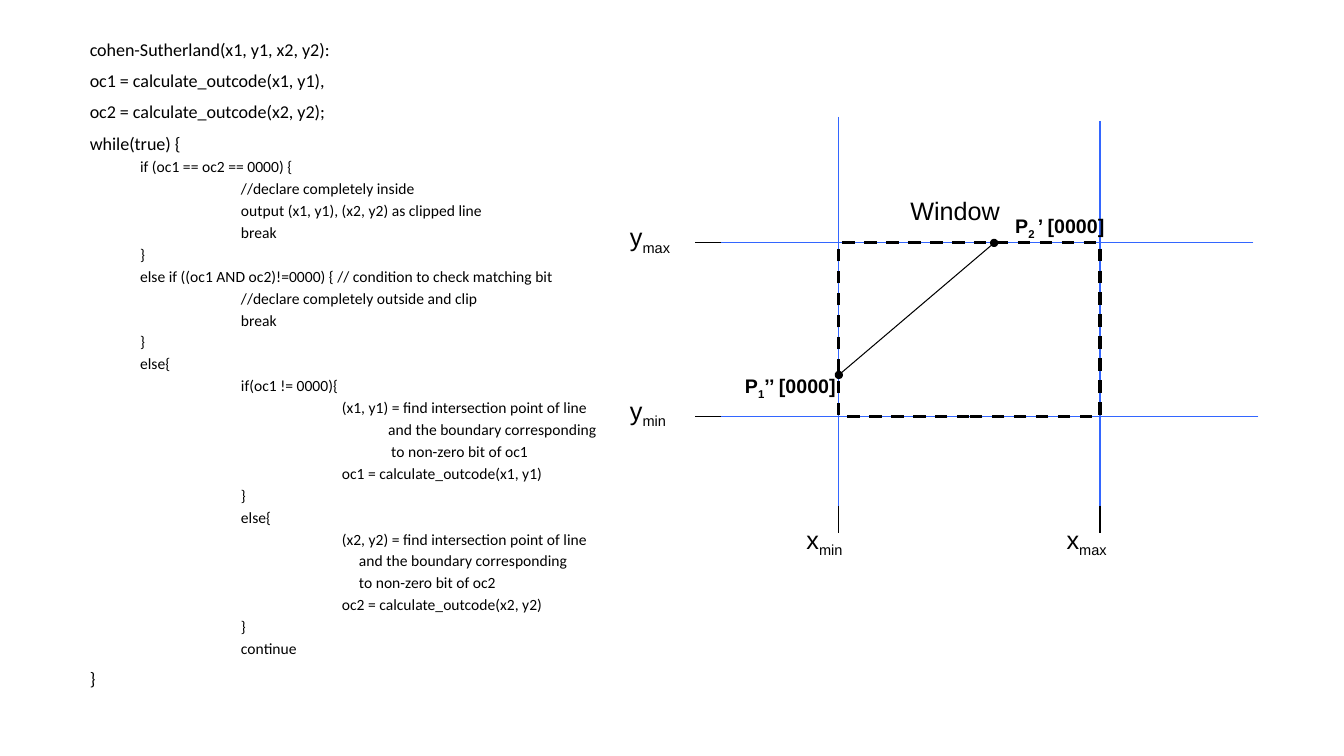
from dataclasses import dataclass

from lxml import etree
from pptx import Presentation
from pptx.dml.color import RGBColor
from pptx.enum.dml import MSO_LINE
from pptx.enum.shapes import MSO_CONNECTOR, MSO_SHAPE
from pptx.enum.text import MSO_ANCHOR, MSO_AUTO_SIZE
from pptx.oxml.ns import qn
from pptx.util import Inches, Pt

STRAIGHT = MSO_CONNECTOR.STRAIGHT
RECTANGLE = MSO_SHAPE.RECTANGLE
DASH = MSO_LINE.DASH
TOP = MSO_ANCHOR.TOP
FIXED_SIZE = MSO_AUTO_SIZE.NONE
FIT_SHAPE = MSO_AUTO_SIZE.SHAPE_TO_FIT_TEXT

COLUMNS, ROWS = 133.3, 75
CELL = Inches(0.1)


@dataclass(frozen=True)
class Theme:
    ink: RGBColor = RGBColor(0, 0, 0)
    guide: RGBColor = RGBColor(0x33, 0x66, 0xFF)
    code_font: str = "Calibri"
    label_font: str = "Arial"
    outer_code: float = 12.9
    inner_code: float = 11.1
    axis_label: int = 18
    point_label: int = 14
    thin: float = 0.75
    thick: float = 2.25


THEME = Theme()

X_MIN, X_MAX = 83.2, 109.1
Y_MAX, Y_MIN = 24.1, 41.3
TICK_LEFT, TICK_RIGHT = 68.9, 71.5
TICK_TOP, TICK_BOTTOM = 50.2, 52.9

CODE = [
    (0, "cohen-Sutherland(x1, y1, x2, y2):"),
    (0, "oc1 = calculate_outcode(x1, y1),"),
    (0, "oc2 = calculate_outcode(x2, y2);"),
    (0, "while(true) {"),
    (5, "if (oc1 == oc2 == 0000) {"),
    (15, "//declare completely inside"),
    (15, "output (x1, y1), (x2, y2) as clipped line"),
    (15, "break"),
    (5, "}"),
    (5, "else if ((oc1 AND oc2)!=0000) { // condition to check matching bit"),
    (15, "//declare completely outside and clip"),
    (15, "break"),
    (5, "}"),
    (5, "else{"),
    (15, "if(oc1 != 0000){"),
    (25, "(x1, y1) = find intersection point of line"),
    (29.6, "and the boundary corresponding"),
    (29.9, "to non-zero bit of oc1"),
    (25, "oc1 = calculate_outcode(x1, y1)"),
    (15, "}"),
    (15, "else{"),
    (25, "(x2, y2) = find intersection point of line"),
    (26.7, "and the boundary corresponding"),
    (26.7, "to non-zero bit of oc2"),
    (25, "oc2 = calculate_outcode(x2, y2)"),
    (15, "}"),
    (15, "continue"),
    (0, "}"),
]


def cells(count):
    return round(count * CELL)


def style_font(font, name, size, bold=False):
    font.name = name
    font.size = Pt(size)
    font.bold = bold
    font.color.rgb = THEME.ink


def add_code(slide):
    slide.shapes.title.element.getparent().remove(slide.shapes.title.element)
    body = slide.placeholders[1]
    body.left, body.top = cells(7.9), cells(3.7)
    body.width, body.height = cells(55.4), cells(64.9)
    frame = body.text_frame
    frame.auto_size = FIXED_SIZE
    frame.vertical_anchor = TOP
    frame.word_wrap = True
    frame.text = "\n".join(text for _, text in CODE)
    for index, (paragraph, (indent, _)) in enumerate(zip(frame.paragraphs, CODE)):
        inner = indent > 0
        paragraph.level = int(inner)
        paragraph.line_spacing = 0.8
        paragraph.space_before = Pt(0 if index == 0 else 5 if inner else 10)
        properties = paragraph._p.get_or_add_pPr()
        properties.set("marL", str(cells(indent)))
        properties.set("indent", "0")
        etree.SubElement(properties, qn("a:buNone"))
        size = THEME.inner_code if inner else THEME.outer_code
        style_font(paragraph.font, THEME.code_font, size)


def add_line(slide, start, end, color, dots=False):
    points = [cells(value) for value in (*start, *end)]
    connector = slide.shapes.add_connector(STRAIGHT, *points)
    connector.line.color.rgb = color
    connector.line.width = Pt(THEME.thin)
    etree.SubElement(connector._element.spPr, qn("a:effectLst"))
    if dots:
        outline = connector.line._get_or_add_ln()
        for tag in ("a:headEnd", "a:tailEnd"):
            etree.SubElement(outline, qn(tag), type="oval")


def add_window(slide):
    window = slide.shapes.add_shape(
        RECTANGLE, cells(X_MIN), cells(Y_MAX), cells(X_MAX - X_MIN), cells(Y_MIN - Y_MAX)
    )
    window.shadow.inherit = False
    window.fill.background()
    window.line.color.rgb = THEME.ink
    window.line.width = Pt(THEME.thick)
    window.line.dash_style = DASH


def add_label(slide, box, size, base, subscript="", rest="", bold=False):
    label = slide.shapes.add_textbox(*(cells(value) for value in box))
    frame = label.text_frame
    frame.word_wrap = False
    frame.auto_size = FIT_SHAPE
    paragraph = frame.paragraphs[0]
    style_font(paragraph.font, THEME.label_font, size, bold)
    for text, offset in ((base, 0), (subscript, -25000), (rest, 0)):
        if text:
            run = paragraph.add_run()
            run.text = text
            if offset:
                run.font._element.set("baseline", str(offset))


def add_diagram(slide):
    for x, top in ((X_MIN, 11.6), (X_MAX, 12)):
        add_line(slide, (x, top), (x, top + 39), THEME.guide)
    for y, right in ((Y_MAX, 124.3), (Y_MIN, 124.8)):
        add_line(slide, (right, y), (TICK_RIGHT, y), THEME.guide)
    add_window(slide)
    for y in (Y_MAX, Y_MIN):
        add_line(slide, (TICK_RIGHT, y), (TICK_LEFT, y), THEME.ink)
    for x in (X_MIN, X_MAX):
        add_line(slide, (x, TICK_TOP), (x, TICK_BOTTOM), THEME.ink)

    for name, subscript, left, top, width in (
        ("y", "max", 61.5, 21.5, 7.3),
        ("y", "min", 61.5, 38.7, 6.7),
        ("x", "min", 79, 51.5, 6.7),
        ("x", "max", 104.8, 51.5, 7.3),
        ("Window", "", 89.3, 18.9, 12.3),
    ):
        add_label(slide, (left, top, width, 4.5), THEME.axis_label, name, subscript)

    add_line(slide, (X_MIN, 37.2), (98.6, Y_MAX), THEME.ink, dots=True)
    for box, subscript, rest in (
        ((99.7, 20.7, 11.1, 3.4), "2 ", "’ [0000]"),
        ((72.9, 36.6, 11.3, 3.4), "1", "’’ [0000]"),
    ):
        add_label(slide, box, THEME.point_label, "P", subscript, rest, bold=True)


def main():
    presentation = Presentation()
    presentation.slide_width = cells(COLUMNS)
    presentation.slide_height = cells(ROWS)
    slide = presentation.slides.add_slide(presentation.slide_layouts[1])
    add_code(slide)
    add_diagram(slide)
    presentation.save("out.pptx")


if __name__ == "__main__":
    main()
